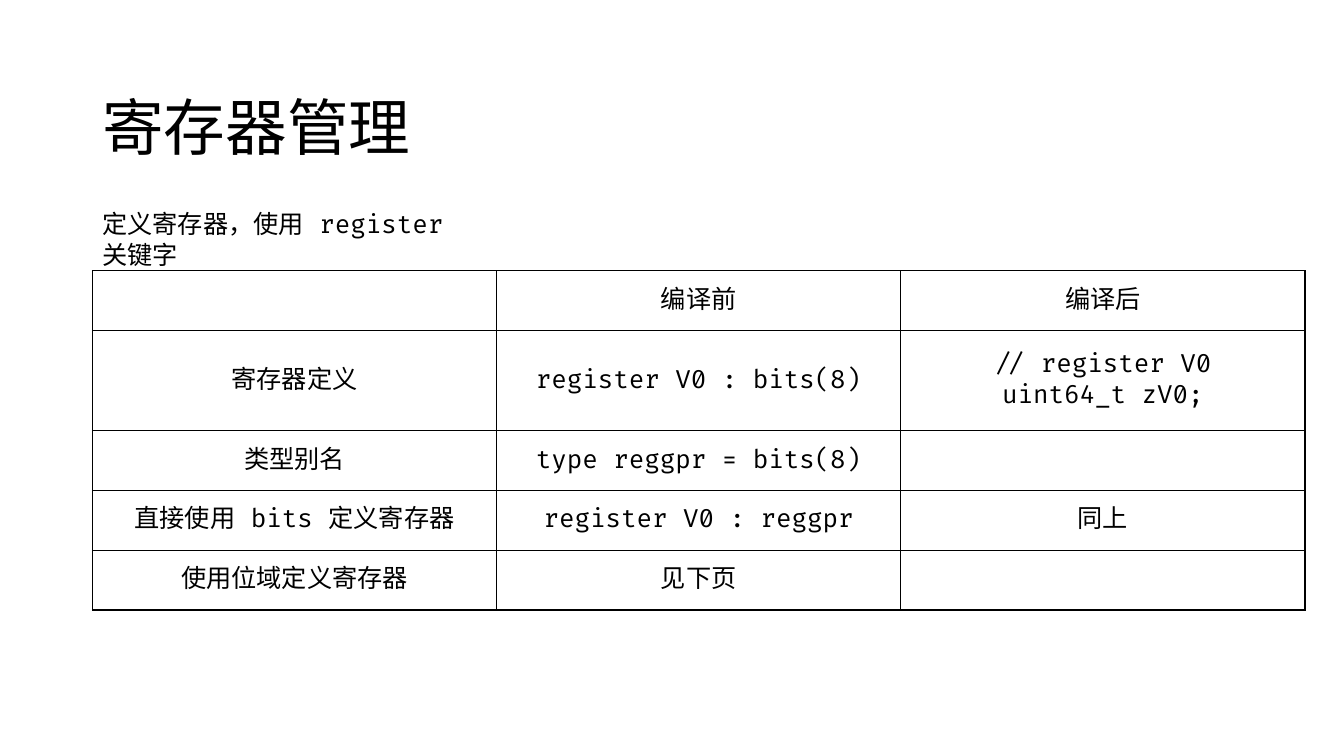
"""Build the register management slide."""
from dataclasses import dataclass

from lxml import etree
from pptx import Presentation
from pptx.dml.color import RGBColor
from pptx.enum.text import MSO_ANCHOR, PP_ALIGN
from pptx.oxml.ns import qn
from pptx.util import Pt

EMU_PER_PX = 9525
MIDDLE, TOP = MSO_ANCHOR.MIDDLE, MSO_ANCHOR.TOP
LEFT, CENTER = PP_ALIGN.LEFT, PP_ALIGN.CENTER


@dataclass(frozen=True)
class Theme:
    ink: str = "000000"
    paper: str = "FFFFFF"
    title_font: str = "Noto Sans CJK JP"
    body_font: str = "Fira Code"
    title_size: int = 44
    body_size: int = 18
    border: int = 1


def px(length):
    return length * EMU_PER_PX


class SlideBuilder:
    def __init__(self, deck, theme):
        self.theme = theme
        self.slide = deck.slides.add_slide(deck.slide_layouts[6])
        fill = self.slide.background.fill
        fill.solid()
        fill.fore_color.rgb = RGBColor.from_string(theme.paper)

    def set_text(self, frame, text, font_name, size, align, spacing=None):
        frame.text = text
        for para in frame.paragraphs:
            para.alignment = align
            para.line_spacing = spacing
            for span in para.runs:
                span.font.name = font_name
                span.font.size = Pt(size)
                span.font.color.rgb = RGBColor.from_string(self.theme.ink)
                east_asian = etree.Element(qn("a:ea"), typeface=font_name)
                span.font._element.find(qn("a:latin")).addnext(east_asian)

    def text_box(self, text, bounds, font_name, size, anchor=TOP, spacing=None):
        box = self.slide.shapes.add_textbox(*map(px, bounds))
        frame = box.text_frame
        frame.word_wrap = True
        frame.vertical_anchor = anchor
        self.set_text(frame, text, font_name, size, LEFT, spacing)

    def outline(self, cell):
        properties = cell._tc.get_or_add_tcPr()
        for side in ("lnL", "lnR", "lnT", "lnB"):
            line = etree.SubElement(properties, qn(f"a:{side}"), w=str(Pt(self.theme.border)))
            fill = etree.SubElement(line, qn("a:solidFill"))
            etree.SubElement(fill, qn("a:srgbClr"), val=self.theme.ink)

    def table(self, rows, left, top, column_width, row_heights):
        columns = len(rows[0])
        size = (columns * column_width, sum(row_heights))
        table = self.slide.shapes.add_table(
            len(rows), columns, *map(px, (left, top, *size))
        ).table
        table.first_row = False
        table.horz_banding = False
        for column in table.columns:
            column.width = px(column_width)
        for row, height, texts in zip(table.rows, row_heights, rows):
            row.height = px(height)
            for cell, text in zip(row.cells, texts):
                cell.vertical_anchor = MIDDLE
                self.outline(cell)
                cell.fill.background()
                if text:
                    self.set_text(cell.text_frame, text, self.theme.body_font,
                                  self.theme.body_size, CENTER)


def main():
    deck = Presentation()
    deck.slide_width, deck.slide_height = px(1280), px(720)
    theme = Theme()
    page = SlideBuilder(deck, theme)
    page.text_box("寄存器管理", (88, 55, 1104, 139), theme.title_font,
                  theme.title_size, MIDDLE, 0.9)
    page.text_box("定义寄存器，使用 register 关键字", (88, 194, 376, 68),
                  theme.body_font, theme.body_size)
    rows = [
        ("", "编译前", "编译后"),
        ("寄存器定义", "register V0 : bits(8)", "// register V0\nuint64_t zV0;"),
        ("类型别名", "type reggpr = bits(8)", ""),
        ("直接使用 bits 定义寄存器", "register V0 : reggpr", "同上"),
        ("使用位域定义寄存器", "见下页", ""),
    ]
    page.table(rows, 88, 258, 385, (57, 95, 57, 57, 57))
    deck.save("out.pptx")


if __name__ == "__main__":
    main()
